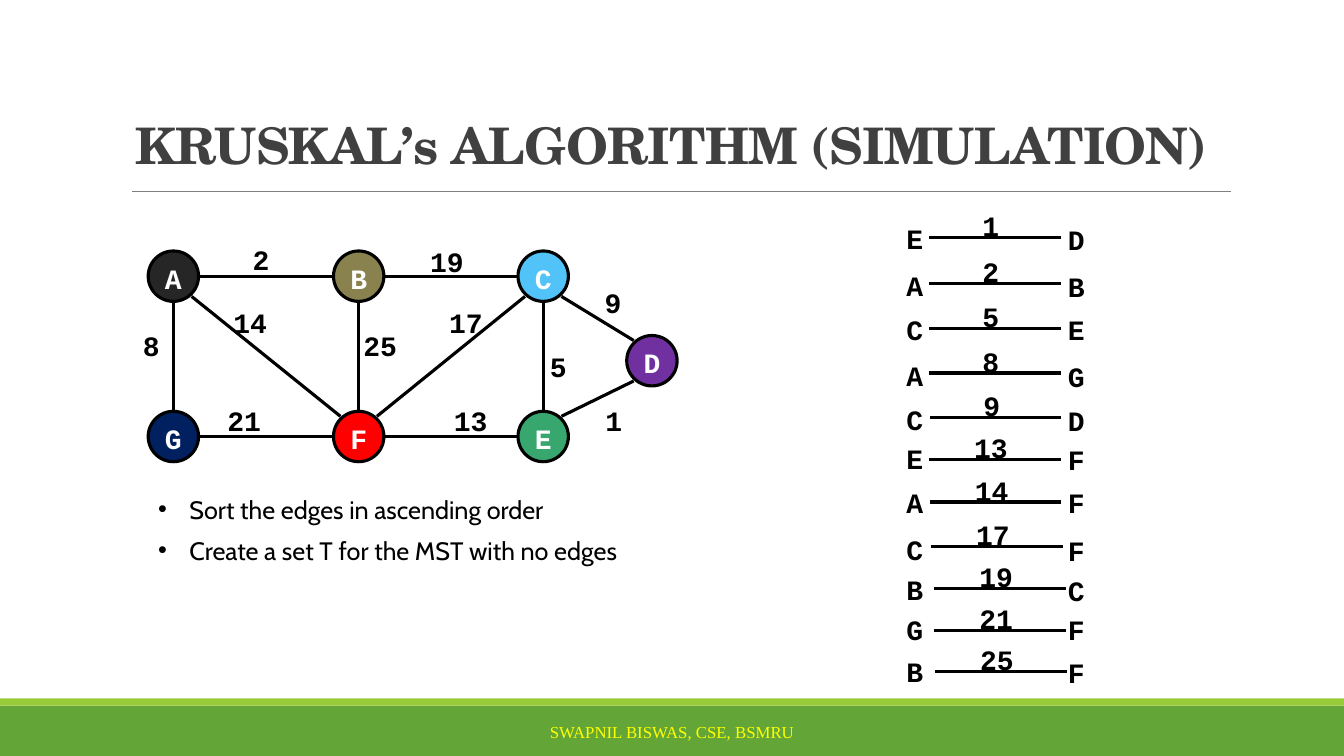
"""Build the Kruskal's algorithm simulation slide."""
from dataclasses import dataclass

from lxml import etree
from pptx import Presentation
from pptx.dml.color import RGBColor
from pptx.enum.shapes import MSO_CONNECTOR, MSO_SHAPE
from pptx.enum.text import MSO_ANCHOR, MSO_AUTO_SIZE, PP_ALIGN
from pptx.oxml.ns import qn
from pptx.util import Cm, Pt

STRAIGHT = MSO_CONNECTOR.STRAIGHT
OVAL, RECT = MSO_SHAPE.OVAL, MSO_SHAPE.RECTANGLE
TOP, MIDDLE, BOTTOM = MSO_ANCHOR.TOP, MSO_ANCHOR.MIDDLE, MSO_ANCHOR.BOTTOM
LEFT, CENTER = PP_ALIGN.LEFT, PP_ALIGN.CENTER
NO_AUTOFIT = MSO_AUTO_SIZE.NONE

WIDTH, HEIGHT = 33.87, 19.05
NODE_SIZE = 1.27
STRAIGHT_GAP, DIAGONAL_GAP = 0.67, (0.46, 0.51)
LIST_LEFT, LIST_RIGHT, LIST_LINE = 23.06, 27.13, 3.31

NODES = {
    "A": (4.37, 6.96, "262626"),
    "B": (9.04, 6.96, "89814E"),
    "C": (13.69, 6.96, "51C3F9"),
    "D": (16.43, 9.09, "7030A0"),
    "E": (13.69, 11.0, "37A76F"),
    "F": (9.04, 11.0, "FF0000"),
    "G": (4.37, 11.0, "002060"),
}

# start, end, weight, weight centre in graph, list line start, list letter y
EDGES = [
    ("E", "D", 1, (15.48, 10.6), (23.42, 5.99), 6.0),
    ("A", "B", 2, (6.59, 6.54), (23.42, 7.14), 7.19),
    ("C", "E", 5, (14.08, 9.23), (23.42, 8.28), 8.29),
    ("A", "G", 8, (3.82, 8.7), (23.42, 9.4), 9.47),
    ("C", "D", 9, (15.46, 7.63), (23.44, 10.52), 10.57),
    ("E", "F", 13, (11.87, 10.6), (23.42, 11.58), 11.56),
    ("A", "F", 14, (6.31, 8.12), (23.44, 12.65), 12.65),
    ("C", "F", 17, (11.75, 8.12), (23.47, 13.77), 13.84),
    ("B", "C", 19, (11.27, 6.59), (23.55, 14.83), 14.86),
    ("G", "F", 21, (6.16, 10.6), (23.55, 15.88), 15.85),
    ("B", "F", 25, (9.59, 8.7), (23.57, 16.92), 16.92),
]
STEPS = ["Sort the edges in ascending order",
         "Create a set T for the MST with no edges"]


@dataclass(frozen=True)
class Theme:
    title_font: str = "TeX Gyre Schola"
    body_font: str = "Cabin"
    label_font: str = "Courier New"
    footer_font: str = "Times New Roman"
    title_size: float = 36
    label_size: float = 20
    body_size: float = 18
    footer_size: float = 12
    ink: str = "000000"
    white: str = "FFFFFF"
    title: str = "404040"
    rule: str = "808080"
    band: str = "63A537"
    stripe: str = "99CB38"
    footer: str = "FFFF00"


def write(p, text, font, size, color, bold=False, align=LEFT):
    p.alignment = align
    r = p.add_run()
    r.text = text
    r.font.name, r.font.size, r.font.bold = font, Pt(size), bold
    r.font.color.rgb = RGBColor.from_string(color)
    return r


def step_towards(start, end):
    dx, dy = end[0] - start[0], end[1] - start[1]
    gap_x, gap_y = DIAGONAL_GAP if dx and dy else (STRAIGHT_GAP, STRAIGHT_GAP)
    sign_x, sign_y = (dx > 0) - (dx < 0), (dy > 0) - (dy < 0)
    return start[0] + sign_x * gap_x, start[1] + sign_y * gap_y


class SlideBuilder:
    def __init__(self, s, theme):
        self.s, self.theme = s, theme

    def place(self, sp, x, y, w, h):
        sp.left, sp.top, sp.width, sp.height = Cm(x), Cm(y), Cm(w), Cm(h)

    def title(self, text):
        t, sp = self.theme, self.s.shapes.title
        self.place(sp, 3.15, 0.48, 29.11, 4.04)
        tf = sp.text_frame
        tf.auto_size, tf.vertical_anchor = NO_AUTOFIT, BOTTOM
        p = tf.paragraphs[0]
        p.line_spacing = 0.85
        r = write(p, text, t.title_font, t.title_size, t.title, bold=True)
        r.font._element.set("spc", "-50")

    def bullets(self, items):
        t, sp = self.theme, self.s.placeholders[1]
        self.place(sp, 3.73, 12.32, 13.5, 2.3)
        tf = sp.text_frame
        tf.auto_size, tf.vertical_anchor = NO_AUTOFIT, TOP
        for i, item in enumerate(items):
            p = tf.add_paragraph() if i else tf.paragraphs[0]
            p.space_before, p.space_after = Pt(0), Pt(7.6)
            write(p, item, t.body_font, t.body_size, t.ink)
            pPr = p._p.get_or_add_pPr()
            pPr.set("marL", str(Cm(0.79)))
            pPr.set("indent", str(-Cm(0.79)))
            etree.SubElement(pPr, qn("a:buFont")).set("typeface", "Arial")
            etree.SubElement(pPr, qn("a:buChar")).set("char", "•")

    def shape(self, kind, x, y, w, h, fill):
        sp = self.s.shapes.add_shape(kind, Cm(x), Cm(y), Cm(w), Cm(h))
        sp.shadow.inherit = False
        sp.fill.solid()
        sp.fill.fore_color.rgb = RGBColor.from_string(fill)
        sp.line.fill.background()
        return sp

    def node(self, name, x, y, fill):
        t = self.theme
        sp = self.shape(OVAL, x - NODE_SIZE / 2, y - NODE_SIZE / 2,
                        NODE_SIZE, NODE_SIZE, fill)
        sp.line.color.rgb = RGBColor.from_string(t.ink)
        sp.line.width = Pt(2.25)
        tf = sp.text_frame
        tf.margin_left = tf.margin_right = tf.margin_bottom = 0
        tf.margin_top = Cm(0.1)
        tf.word_wrap, tf.vertical_anchor = False, MIDDLE
        write(tf.paragraphs[0], name, t.label_font, t.label_size, t.white,
              bold=True, align=CENTER)

    def line(self, start, end, color, width=2.25):
        cx = self.s.shapes.add_connector(STRAIGHT, *map(Cm, start + end))
        cx.line.color.rgb = RGBColor.from_string(color)
        cx.line.width = Pt(width)
        etree.SubElement(cx._element.spPr, qn("a:effectLst"))

    def label(self, text, x, y):
        t, w, h = self.theme, 0.52 + 0.42 * len(text), 1.1
        sp = self.s.shapes.add_textbox(Cm(x - w / 2), Cm(y - h / 2), Cm(w), Cm(h))
        sp.text_frame.word_wrap = False
        write(sp.text_frame.paragraphs[0], text, t.label_font, t.label_size,
              t.ink, bold=True)

    def footer(self, text):
        t = self.theme
        self.shape(RECT, 0, 17.78, WIDTH, 1.27, t.band)
        self.shape(RECT, 0, 17.6, WIDTH, 0.18, t.stripe)
        sp = self.s.shapes.add_textbox(Cm(10.24), Cm(17.93), Cm(13.39), Cm(1.02))
        tf = sp.text_frame
        tf.word_wrap, tf.vertical_anchor = True, MIDDLE
        write(tf.paragraphs[0], text, t.footer_font, t.footer_size, t.footer,
              align=CENTER)


def main():
    prs = Presentation()
    prs.slide_width, prs.slide_height = Cm(WIDTH), Cm(HEIGHT)
    theme = Theme()
    b = SlideBuilder(prs.slides.add_slide(prs.slide_layouts[1]), theme)
    b.title("KRUSKAL’s ALGORITHM (SIMULATION)")
    b.bullets(STEPS)
    b.footer("SWAPNIL BISWAS, CSE, BSMRU")
    b.line((3.33, 4.83), (31.01, 4.83), theme.rule, 0.5)
    for name, (x, y, fill) in NODES.items():
        b.node(name, x, y, fill)
    for start, end, weight, middle, (x, y), letter_y in EDGES:
        p1, p2 = NODES[start][:2], NODES[end][:2]
        b.line(step_towards(p1, p2), step_towards(p2, p1), theme.ink)
        b.label(str(weight), *middle)
        b.line((x, y), (x + LIST_LINE, y), theme.ink)
        b.label(str(weight), x + 1.56, y - 0.3)
        b.label(start, LIST_LEFT, letter_y)
        b.label(end, LIST_RIGHT, letter_y + 0.02)
    prs.save("out.pptx")


if __name__ == "__main__":
    main()
